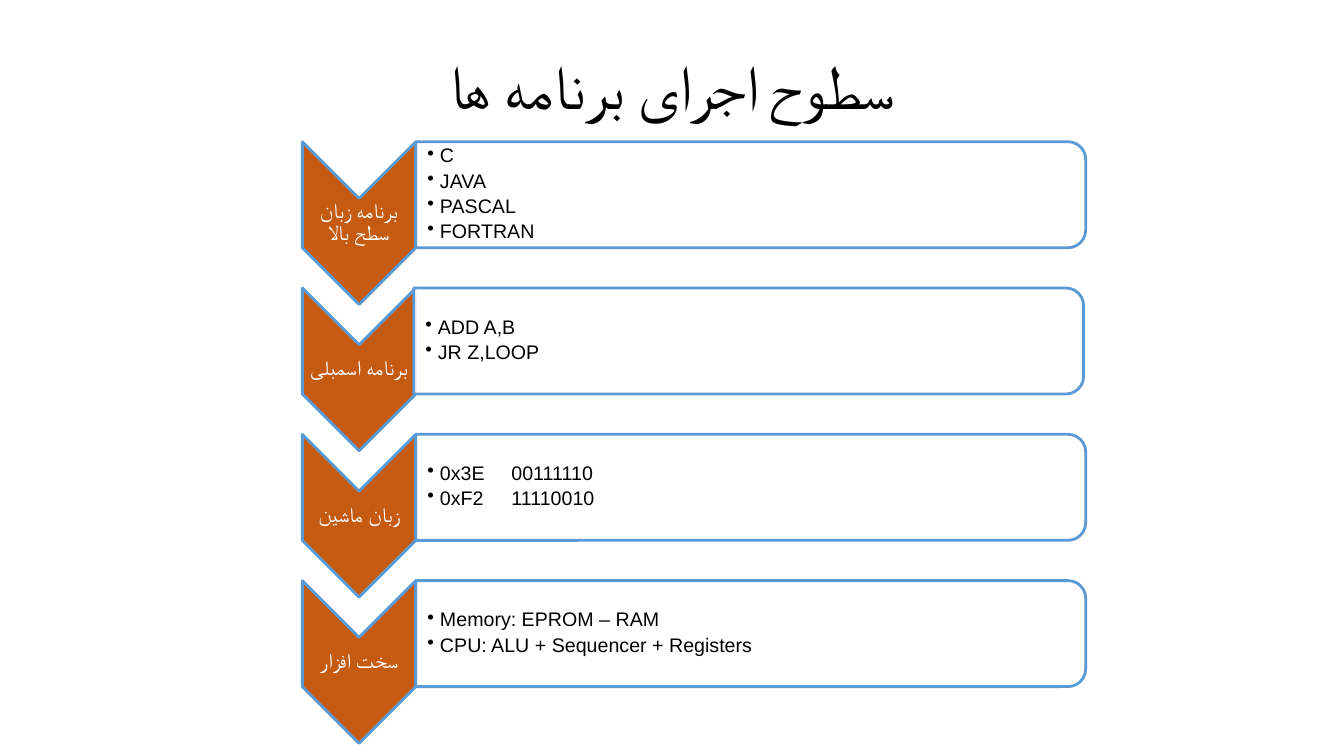
import pptx
import pptx.util
from lxml import etree
from pptx.dml.color import RGBColor
from pptx.enum.shapes import MSO_SHAPE
from pptx.enum.text import MSO_ANCHOR, PP_ALIGN
from pptx.oxml.ns import qn

TITLE = "سطوح اجرای برنامه ها"
# label, lines, horizontal shift of the panel
LEVELS = [
    ("برنامه زبان سطح بالا", ["C", "JAVA", "PASCAL", "FORTRAN"], 0),
    ("برنامه اسمبلی", ["ADD A,B", "JR Z,LOOP"], -2),
    ("زبان ماشین", ["0x3E\t00111110", "0xF2\t11110010"], 0),
    ("سخت افزار", ["Memory: EPROM – RAM", "CPU: ALU + Sequencer + Registers"], 0),
]
COLORS = {"arrow": "C55A11", "line": "5B9BD5", "panel": "FFFFFF",
          "label": "FFFFFF", "text": "000000"}

ARROW_X, ARROW_W, ARROW_H = 288, 108, 155
PANEL_X, PANEL_W, PANEL_H = ARROW_X + ARROW_W, 638, 101
TOP, LAST_TOP = 135, 553
INDENT, TAB = 12, 80


def px(n):
    return pptx.util.Emu(round(n * 9525))


def rgb(name):
    return RGBColor.from_string(COLORS[name])


def add_turned(kind, x, y, w, h, fill):
    """Shape turned 90 degrees that covers the box x, y, w, h once turned."""
    sp = s.shapes.add_shape(kind, px(x + (w - h) / 2), px(y + (h - w) / 2), px(h), px(w))
    sp.rotation = 90
    sp.shadow.inherit = False
    sp.fill.solid()
    sp.fill.fore_color.rgb = rgb(fill)
    sp.line.color.rgb = rgb("line")
    sp.line.width = pptx.util.Pt(2)
    return sp


def add_text(x, y, w, h, lines, size, font, color, inset=1, bullets=False):
    tf = s.shapes.add_textbox(px(x), px(y), px(w), px(h)).text_frame
    tf.word_wrap = True
    tf.vertical_anchor = MSO_ANCHOR.MIDDLE
    tf.margin_left = px(inset)
    tf.margin_right = tf.margin_top = tf.margin_bottom = px(1)
    for i, line in enumerate(lines):
        p = tf.add_paragraph() if i else tf.paragraphs[0]
        p.text = line
        p.line_spacing = 0.9
        if bullets:
            p.space_after = pptx.util.Pt(2.8)
            add_bullet(p, "\t" in line)
        else:
            p.alignment = PP_ALIGN.CENTER
        for r in p.runs:
            r.font.size = pptx.util.Pt(size)
            r.font.name = font
            r.font.color.rgb = rgb(color)
            etree.SubElement(r.font._element, qn("a:cs"), typeface=font)


def add_bullet(p, tabbed):
    pPr = p._p.get_or_add_pPr()
    pPr.set("marL", str(px(INDENT)))
    pPr.set("indent", str(px(-INDENT)))
    etree.SubElement(pPr, qn("a:buChar"), char="•")
    if tabbed:
        tabs = etree.SubElement(pPr, qn("a:tabLst"))
        etree.SubElement(tabs, qn("a:tab"), pos=str(px(TAB)), algn="l")


prs = pptx.Presentation()
prs.slide_width, prs.slide_height = px(1280), px(720)
s = prs.slides.add_slide(prs.slide_layouts[6])

add_text(88, 16, 1104, 139, [TITLE], 44, "Calibri", "text")

pitch = (LAST_TOP - TOP) / (len(LEVELS) - 1)
for i, (label, lines, shift) in enumerate(LEVELS):
    y = TOP + i * pitch
    x = PANEL_X + shift
    add_turned(MSO_SHAPE.CHEVRON, ARROW_X, y, ARROW_W, ARROW_H, "arrow")
    add_text(ARROW_X, y + 54, ARROW_W, 46, [label], 15, "Arial", "label")
    panel = add_turned(MSO_SHAPE.ROUND_2_SAME_RECTANGLE, x, y, PANEL_W, PANEL_H, "panel")
    color = panel.fill._xPr.find(".//" + qn("a:srgbClr"))
    etree.SubElement(color, qn("a:alpha"), val="90000")
    add_text(x, y + 5, 634, 90, lines, 14, "Arial", "text", inset=11, bullets=True)

prs.save("out.pptx")
